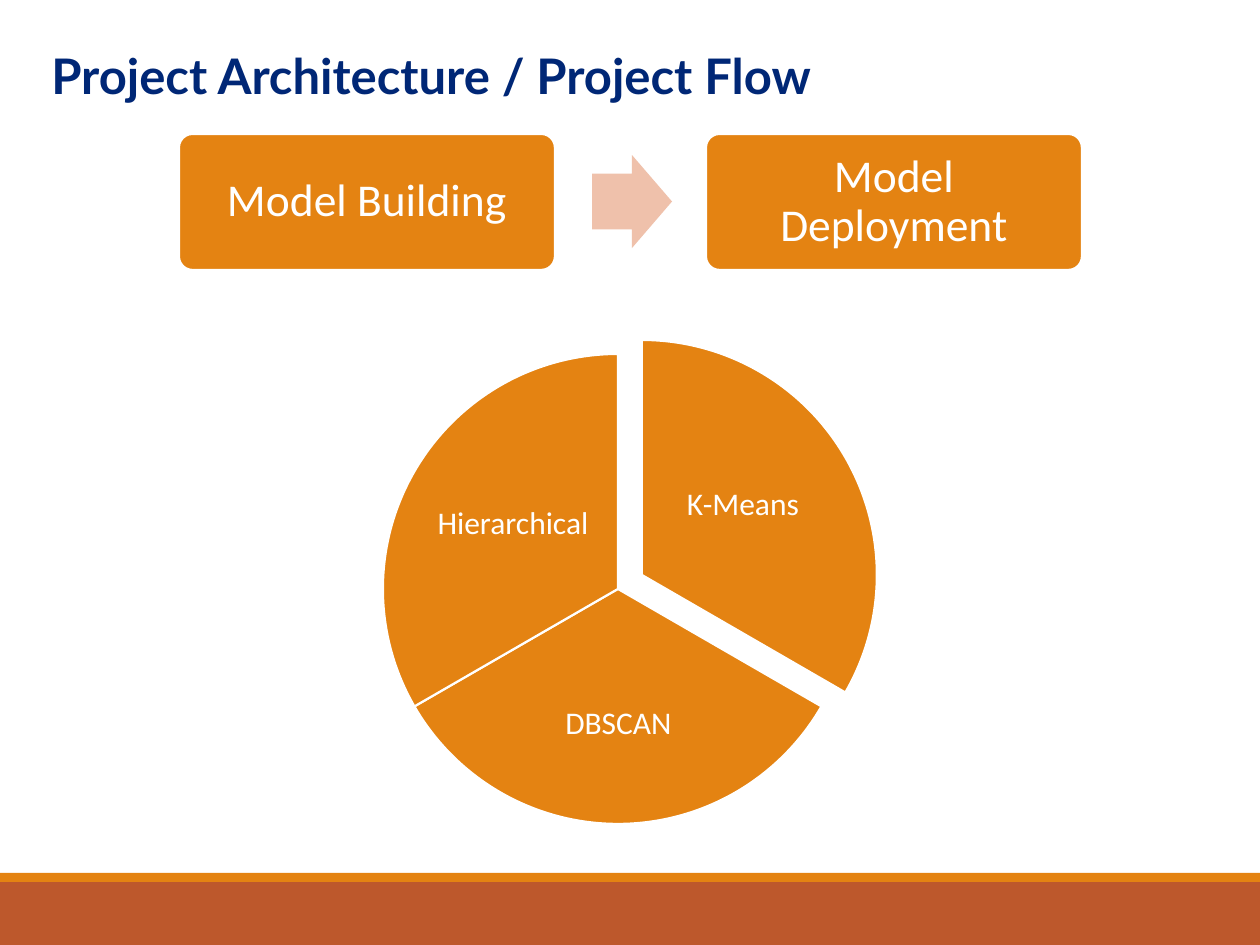
from pptx import Presentation
from pptx.dml.color import RGBColor
from pptx.enum.shapes import MSO_SHAPE
from pptx.enum.text import MSO_ANCHOR, PP_ALIGN
from pptx.util import Pt

RECT, ROUND = MSO_SHAPE.RECTANGLE, MSO_SHAPE.ROUNDED_RECTANGLE
ARROW, PIE = MSO_SHAPE.RIGHT_ARROW, MSO_SHAPE.PIE
MIDDLE, CENTER = MSO_ANCHOR.MIDDLE, PP_ALIGN.CENTER
SCALE = 914400 // 126
ORANGE, RUST, PEACH, NAVY, WHITE = "E48312", "BD582C", "EFC1AB", "002776", "FFFFFF"

TITLE = "Project Architecture / Project Flow"
BANDS = [(RUST, 882, 63), (ORANGE, 873, 9)]
STEPS = ["Model Building", "Model Deployment"]
SLICES = [
    ("K-Means", (407, 340), (663, 427, 160, 156)),
    ("DBSCAN", (383, 354), (512, 651, 213, 146)),
    ("Hierarchical", (383, 354), (433, 446, 160, 156)),
]


def px(*nums):
    return [n * SCALE for n in nums]


def color(code):
    return RGBColor.from_string(code)


def draw(kind, box, fill, edge=None, adj=()):
    shape = slide.shapes.add_shape(kind, *px(*box))
    shape.shadow.inherit = False
    shape.fill.solid()
    shape.fill.fore_color.rgb = color(fill)
    if edge:
        shape.line.color.rgb = color(edge)
        shape.line.width = Pt(1.25)
    else:
        shape.line.fill.background()
    for i, num in enumerate(adj):
        shape.adjustments[i] = num
    return shape


def write(shape, text, size, ink, font="Calibri", bold=False):
    frame = shape.text_frame
    frame.word_wrap = True
    frame.text = text
    face = frame.paragraphs[0].runs[0].font
    face.name, face.size, face.bold = font, Pt(size), bold
    face.color.rgb = color(ink)


def center(shape, inset):
    frame = shape.text_frame
    frame.vertical_anchor = MIDDLE
    frame.margin_left = frame.margin_right = inset * SCALE
    frame.margin_top = frame.margin_bottom = inset * SCALE
    para = frame.paragraphs[0]
    para.alignment = CENTER
    para.line_spacing = 0.9


deck = Presentation()
deck.slide_width, deck.slide_height = px(1260, 945)
slide = deck.slides.add_slide(deck.slide_layouts[6])

for fill, top, high in BANDS:
    draw(RECT, (0, top, 1260, high), fill)

head = slide.shapes.add_textbox(*px(39, 39, 978, 111))
write(head, TITLE, 28, NAVY, "Lato", True)

for i, (name, spot, area) in enumerate(SLICES):
    start = (162 + 72 * i) % 216
    draw(PIE, (*spot, 470, 470), ORANGE, WHITE, (start, (start + 72) % 216))
    label = slide.shapes.add_textbox(*px(*area))
    write(label, name, 18, WHITE)
    center(label, 4)

for i, name in enumerate(STEPS):
    step = draw(ROUND, (179 + 527 * i, 134, 376, 136), ORANGE, WHITE, (0.1,))
    write(step, name, 26, WHITE)
    center(step, 18)
draw(ARROW, (592, 155, 80, 93), PEACH, adj=(0.6, 0.5))

deck.save("out.pptx")
